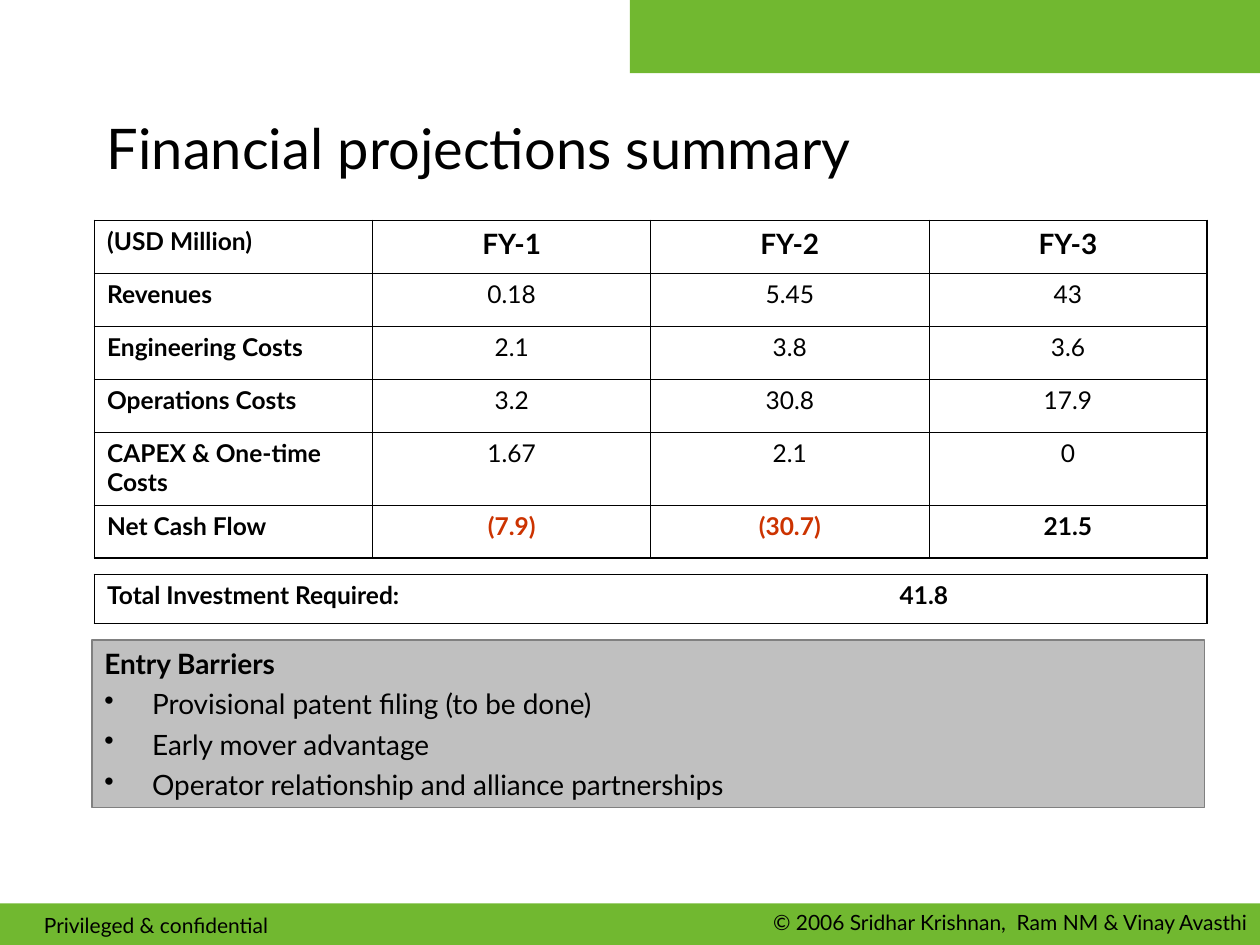
from lxml import etree
from pptx import Presentation
from pptx.dml.color import RGBColor
from pptx.enum.shapes import MSO_SHAPE
from pptx.enum.text import MSO_ANCHOR, PP_ALIGN
from pptx.oxml.ns import qn
from pptx.util import Inches, Pt

RECTANGLE = MSO_SHAPE.RECTANGLE
MIDDLE = MSO_ANCHOR.MIDDLE
TOP = MSO_ANCHOR.TOP
LEFT = PP_ALIGN.LEFT
CENTER = PP_ALIGN.CENTER
RIGHT = PP_ALIGN.RIGHT

FONT = "Lato"
GREEN = "71B830"
GRAY = "C0C0C0"
DARK_GRAY = "808080"
BLACK = "000000"
RED = "CC3300"
THIN, THICK = 0.45, 1.08

PROJECTIONS = [
    ["(USD Million)", "FY-1", "FY-2", "FY-3"],
    ["Revenues", "0.18", "5.45", "43"],
    ["Engineering Costs", "2.1", "3.8", "3.6"],
    ["Operations Costs", "3.2", "30.8", "17.9"],
    ["CAPEX & One-time Costs", "1.67", "2.1", "0"],
    ["Net Cash Flow", "(7.9)", "(30.7)", "21.5"],
]
ROW_HEIGHTS = [0.42, 0.42, 0.42, 0.42, 0.58, 0.42]
BARRIERS = [
    "Provisional patent filing (to be done)",
    "Early mover advantage",
    "Operator relationship and alliance partnerships",
]


def color(value):
    return RGBColor.from_string(value)


def place(box):
    return [Inches(length) for length in box]


def style_para(para, size, bold=False, ink=BLACK, align=LEFT, before=0):
    para.alignment = align
    para.space_before = Pt(before)
    for span in para.runs:
        span.font.name = FONT
        span.font.size = Pt(size)
        span.font.bold = bold
        span.font.color.rgb = color(ink)


def add_text(page, box, text, size, align=LEFT, before=0, anchor=TOP):
    frame = page.shapes.add_textbox(*place(box)).text_frame
    frame.word_wrap = True
    frame.vertical_anchor = anchor
    frame.text = text
    style_para(frame.paragraphs[0], size, align=align, before=before)


def add_band(page, box, fill, line=None):
    band = page.shapes.add_shape(RECTANGLE, *place(box))
    band.shadow.inherit = False
    band.fill.solid()
    band.fill.fore_color.rgb = color(fill)
    if line:
        band.line.color.rgb = color(line)
        band.line.width = Pt(0.75)
    else:
        band.line.fill.background()
    return band


def add_plain_table(page, box, row_count, column_count):
    table = page.shapes.add_table(row_count, column_count, *place(box)).table
    table.first_row = False
    table.horz_banding = False
    for cell in table.iter_cells():
        cell.fill.background()
    return table


def set_borders(cell, widths):
    properties = cell._tc.get_or_add_tcPr()
    for index, (side, width) in enumerate(zip("LRTB", widths)):
        line = etree.Element(qn(f"a:ln{side}"), w=str(Pt(width)))
        fill = etree.SubElement(line, qn("a:solidFill"))
        etree.SubElement(fill, qn("a:srgbClr"), val=BLACK)
        properties.insert(index, line)


def add_projections(page, box):
    last_row, last_column = len(PROJECTIONS) - 1, len(PROJECTIONS[0]) - 1
    table = add_plain_table(page, box, last_row + 1, last_column + 1)
    for row, height in zip(table.rows, ROW_HEIGHTS):
        row.height = Inches(height)
    for r, values in enumerate(PROJECTIONS):
        for c, value in enumerate(values):
            cell = table.cell(r, c)
            cell.text_frame.text = value
            heading = r == 0 and c > 0
            style_para(
                cell.text_frame.paragraphs[0],
                size=16 if heading else 14,
                bold=c == 0 or r in (0, last_row),
                ink=RED if c > 0 and value.startswith("(") else BLACK,
                align=CENTER if c > 0 else LEFT,
                before=4 if heading else 3.5,
            )
            outer = (c == 0, c == last_column, r == 0, r == last_row)
            set_borders(cell, [THICK if edge else THIN for edge in outer])


def add_total(page, box):
    cell = add_plain_table(page, box, 1, 1).cell(0, 0)
    cell.text_frame.text = "Total Investment Required:\t41.8"
    para = cell.text_frame.paragraphs[0]
    style_para(para, 14, bold=True, before=3.5)
    stops = etree.SubElement(para._p.get_or_add_pPr(), qn("a:tabLst"))
    etree.SubElement(stops, qn("a:tab"), pos=str(Inches(6.29)), algn="l")
    set_borders(cell, [THICK] * 4)


def add_barriers(page, box):
    frame = add_band(page, box, GRAY, DARK_GRAY).text_frame
    frame.word_wrap = True
    frame.vertical_anchor = TOP
    frame.text = "\n".join(["Entry Barriers"] + BARRIERS)
    for index, para in enumerate(frame.paragraphs):
        style_para(para, 16, bold=index == 0, before=4)
        properties = para._p.get_or_add_pPr()
        properties.set("marL", str(Inches(0.38)))
        properties.set("indent", str(Inches(-0.38)))
        if index > 0:
            etree.SubElement(properties, qn("a:buChar"), char="•")


def add_footer(page, box):
    left, top, width, height = box
    add_band(page, box, GREEN)
    add_text(page, (left + 0.25, top + 0.02, 3, 0.3),
             "Privileged & confidential", 12, before=7.5)
    add_text(page, (left + width - 4.75, top, 4.75, 0.3),
             "© 2006 Sridhar Krishnan,  Ram NM & Vinay Avasthi", 12, RIGHT, 7.5)


def main():
    deck = Presentation()
    deck.slide_width, deck.slide_height = Inches(10), Inches(7.5)
    page = deck.slides.add_slide(deck.slide_layouts[6])
    add_footer(page, (0, 7.17, 10, 0.33))
    add_text(page, (0.75, 0.67, 8.83, 1), "Financial projections summary", 32, anchor=MIDDLE)
    add_projections(page, (0.75, 1.75, 8.83, sum(ROW_HEIGHTS)))
    add_total(page, (0.75, 4.56, 8.83, 0.39))
    add_barriers(page, (0.73, 5.08, 8.83, 1.33))
    add_band(page, (5, 0, 5, 0.58), GREEN)
    deck.save("out.pptx")


if __name__ == "__main__":
    main()
